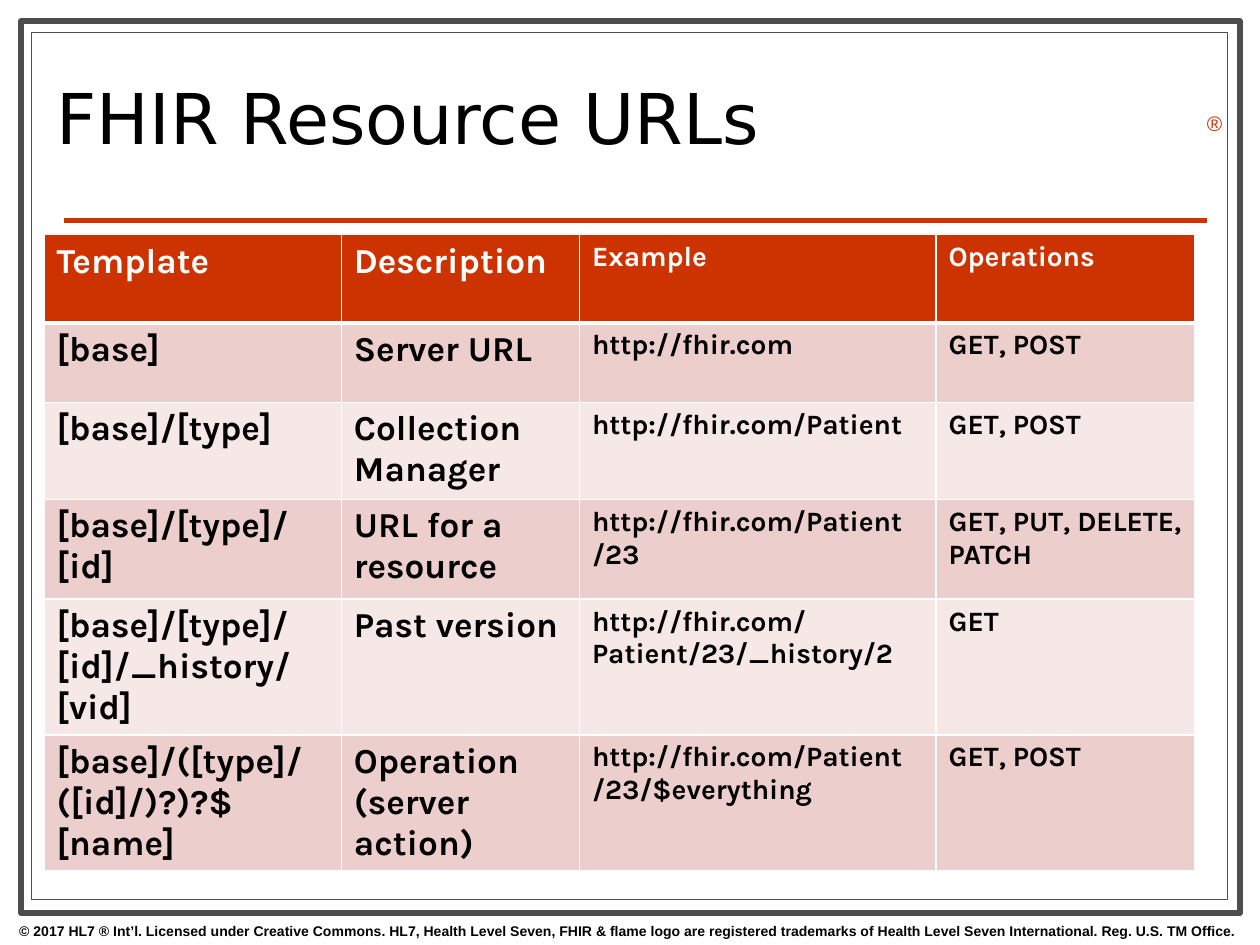
from lxml.etree import SubElement
from pptx import Presentation
from pptx.dml.color import RGBColor
from pptx.enum.shapes import MSO_CONNECTOR, MSO_SHAPE
from pptx.enum.text import MSO_ANCHOR, MSO_AUTO_SIZE, PP_ALIGN
from pptx.oxml.ns import qn
from pptx.util import Cm, Pt

BLACK = RGBColor(0x00, 0x00, 0x00)
WHITE = RGBColor(0xFF, 0xFF, 0xFF)
GRAY = RGBColor(0x4D, 0x4D, 0x4D)
RED = RGBColor(0xCC, 0x33, 0x00)
BANDS = [RGBColor(0xEC, 0xCE, 0xCC), RGBColor(0xF6, 0xE8, 0xE7)]

TITLE = "FHIR Resource URLs"
COPYRIGHT = (
    "© 2017 HL7 ® Int’l. Licensed under Creative Commons. HL7, Health Level Seven, "
    "FHIR & flame logo are registered trademarks of Health Level Seven International. "
    "Reg. U.S. TM Office."
)
FRAMES = [((0.43, 0.43, 24.56, 17.98), 3.5), ((0.64, 0.66, 24.1, 17.48), 0.75)]
COLUMN_WIDTHS = [5.99, 4.8, 7.19, 5.21]
COLUMN_SIZES = [20, 20, 16, 16]
ROW_HEIGHTS = [1.78, 1.6, 1.96, 2.01, 2.01, 2.01]
ROWS = [
    ["Template", "Description", "Example", "Operations"],
    ["[base]", "Server URL", "http://fhir.com", "GET, POST"],
    ["[base]/[type]", "Collection Manager", "http://fhir.com/Patient", "GET, POST"],
    ["[base]/[type]/[id]", "URL for a resource", "http://fhir.com/Patient\n/23",
     "GET, PUT, DELETE, PATCH"],
    ["[base]/[type]/[id]/_history/[vid]", "Past version",
     "http://fhir.com/Patient/23/_history/2", "GET"],
    ["[base]/([type]/([id]/)?)?$[name]", "Operation (server action)",
     "http://fhir.com/Patient\v/23/$everything", "GET, POST"],
]


def add_run(paragraph, text, font_name, size, color, bold=False):
    run = paragraph.add_run()
    run.text = text
    run.font.name = font_name
    run.font.size = Pt(size)
    run.font.color.rgb = color
    run.font.bold = bold


def add_frame(slide, box, weight):
    shape = slide.shapes.add_shape(MSO_SHAPE.RECTANGLE, *map(Cm, box))
    shape.shadow.inherit = False
    shape.fill.solid()
    shape.fill.fore_color.rgb = WHITE
    shape.line.color.rgb = GRAY
    shape.line.width = Pt(weight)


def add_rule(slide):
    rule = slide.shapes.add_connector(
        MSO_CONNECTOR.STRAIGHT, Cm(1.3), Cm(4.45), Cm(24.33), Cm(4.45))
    rule.line.color.rgb = RED
    rule.line.width = Pt(3)
    SubElement(rule.element.spPr, qn("a:effectLst"))


def add_label(slide, box, text, size, color, bold, alignment):
    text_frame = slide.shapes.add_textbox(*map(Cm, box)).text_frame
    text_frame.word_wrap = True
    paragraph = text_frame.paragraphs[0]
    paragraph.alignment = alignment
    add_run(paragraph, text, "Arial", size, color, bold)


def format_title(title):
    title.left, title.top, title.width, title.height = map(Cm, (0.89, 0.91, 18.21, 3.2))
    text_frame = title.text_frame
    text_frame.word_wrap = True
    text_frame.auto_size = MSO_AUTO_SIZE.NONE
    text_frame.vertical_anchor = MSO_ANCHOR.MIDDLE
    paragraph = text_frame.paragraphs[0]
    paragraph.alignment = PP_ALIGN.LEFT
    paragraph.line_spacing = 0.8
    add_run(paragraph, TITLE, "DejaVu Sans", 40, BLACK)
    title.element.getparent().append(title.element)


def set_borders(cell, bottom_weight):
    properties = cell._tc.get_or_add_tcPr()
    weights = {"lnL": 1, "lnR": 1, "lnT": 1, "lnB": bottom_weight}
    for side, weight in weights.items():
        line = SubElement(properties, qn(f"a:{side}"), w=str(Pt(weight)))
        fill = SubElement(line, qn("a:solidFill"))
        SubElement(fill, qn("a:srgbClr"), val=str(WHITE))


def fill_cell(cell, text, size, is_header, band):
    set_borders(cell, 3 if is_header else 1)
    cell.fill.solid()
    cell.fill.fore_color.rgb = RED if is_header else band
    text_frame = cell.text_frame
    for index, paragraph_text in enumerate(text.split("\n")):
        paragraph = text_frame.add_paragraph() if index else text_frame.paragraphs[0]
        for part_index, part in enumerate(paragraph_text.split("\v")):
            if part_index:
                paragraph.add_line_break()
            add_run(paragraph, part, "Karla", size, WHITE if is_header else BLACK, True)


def add_url_table(slide):
    table = slide.shapes.add_table(
        len(ROWS), len(COLUMN_WIDTHS), Cm(0.89), Cm(4.73),
        Cm(sum(COLUMN_WIDTHS)), Cm(sum(ROW_HEIGHTS))).table
    for column, width in zip(table.columns, COLUMN_WIDTHS):
        column.width = Cm(width)
    for row_index, (texts, height) in enumerate(zip(ROWS, ROW_HEIGHTS)):
        table.rows[row_index].height = Cm(height)
        band = BANDS[(row_index - 1) % 2]
        for column_index, (text, size) in enumerate(zip(texts, COLUMN_SIZES)):
            fill_cell(table.cell(row_index, column_index), text, size, row_index == 0, band)


def main():
    presentation = Presentation()
    presentation.slide_width = Cm(25.4)
    presentation.slide_height = Cm(19.05)
    slide = presentation.slides.add_slide(presentation.slide_layouts[5])
    for box, weight in FRAMES:
        add_frame(slide, box, weight)
    add_rule(slide)
    add_label(slide, (-0.03, 18.47, 25.4, 0.58), COPYRIGHT, 8, BLACK, True, PP_ALIGN.CENTER)
    add_label(slide, (24.08, 2.11, 0.79, 0.76), "®", 12, RED, False, PP_ALIGN.LEFT)
    format_title(slide.shapes.title)
    add_url_table(slide)
    presentation.save("out.pptx")


if __name__ == "__main__":
    main()
